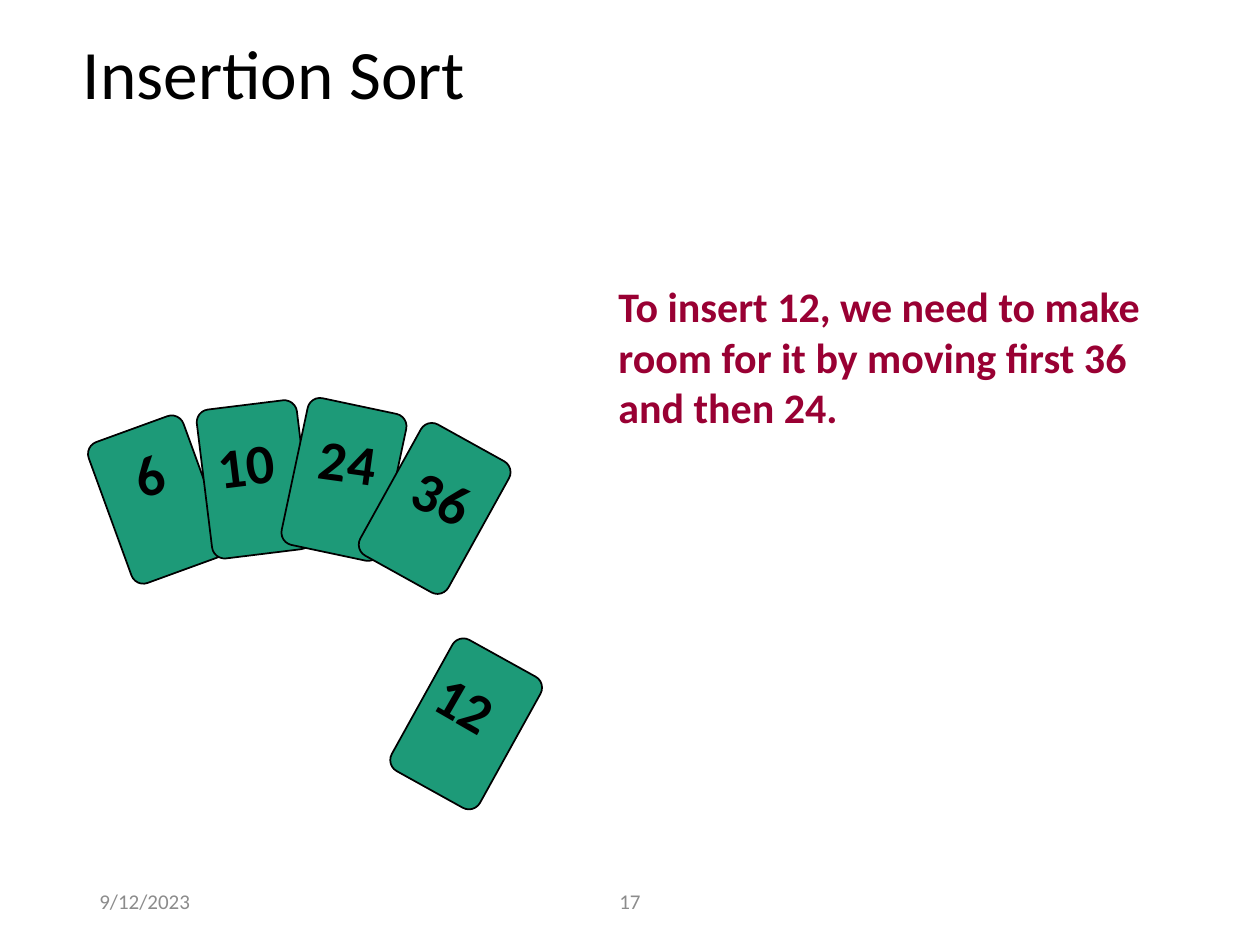
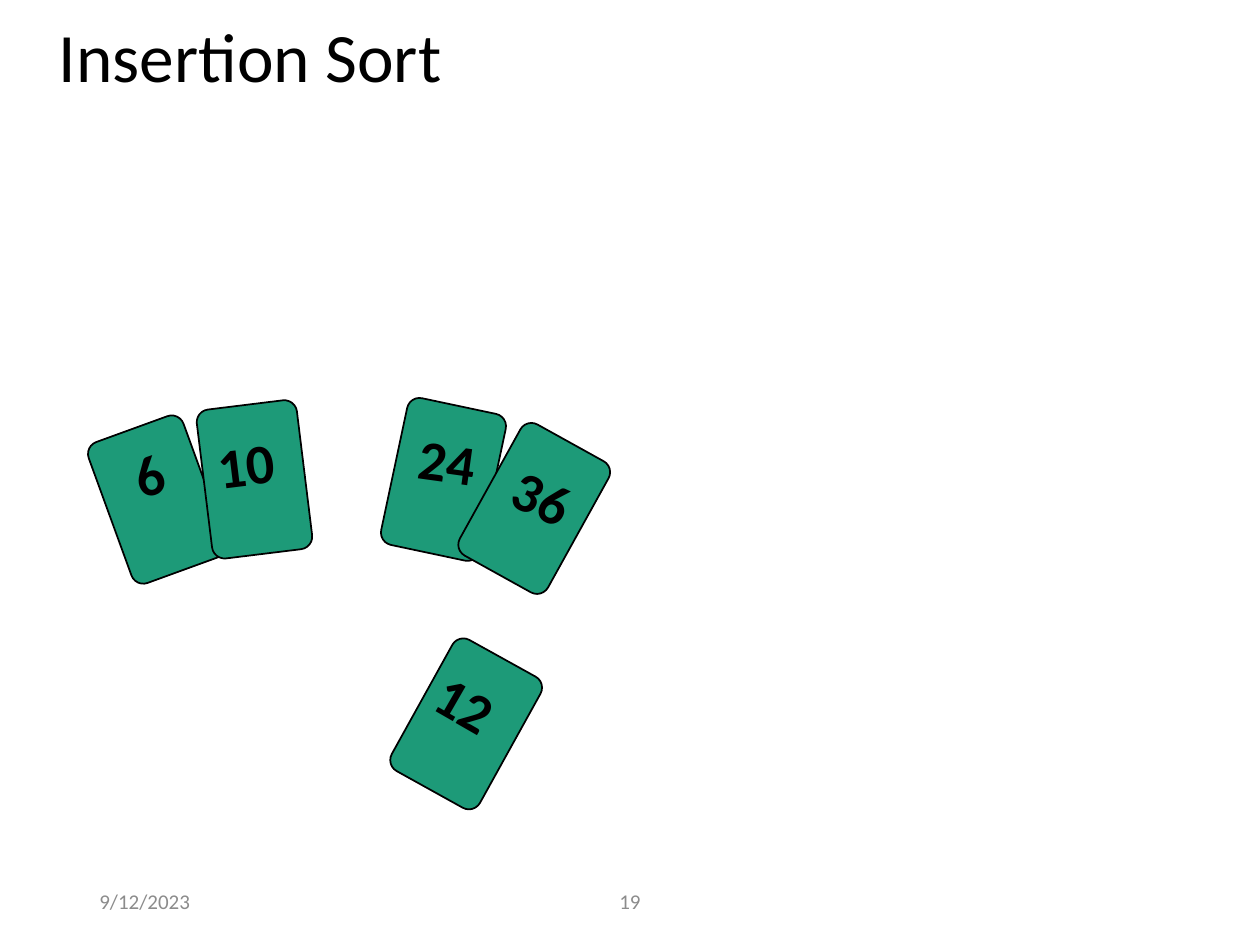
from collections import namedtuple

from pptx import Presentation
from pptx.dml.color import RGBColor
from pptx.enum.shapes import MSO_SHAPE as Shape
from pptx.enum.text import MSO_ANCHOR as Anchor, MSO_AUTO_SIZE as AutoSize, PP_ALIGN as Align
from pptx.util import Inches, Pt

BLACK = RGBColor(0x00, 0x00, 0x00)
GREY = RGBColor(0x8C, 0x8C, 0x8C)
GREEN = RGBColor(0x1D, 0x9A, 0x78)
CRIMSON = RGBColor(0x99, 0x00, 0x33)

CARD_WIDTH, CARD_HEIGHT = 0.8, 1.19
LABEL_HEIGHT = 0.63
DIGIT_WIDTH = 0.25
GAP_SHIFT = 0.79

# Places are left and top in inches, turns are in degrees.
Card = namedtuple("Card", "number place turn label_place label_turn")
SIX = Card("6", (0.85, 3.37), 340, (0.97, 3.44), 341)
TEN = Card("10", (1.62, 3.21), 353, (1.63, 3.36), 353)
TWENTY_FOUR = Card("24", (2.33, 3.21), 12, (2.44, 3.34), 8)
THIRTY_SIX = Card("36", (3.05, 3.44), 29, (3.19, 3.63), 25)
TWELVE = Card("12", (3.3, 5.15), 29, (3.37, 5.28), 30)


class SortDeck:
    font = "Calibri"

    def __init__(self):
        self.deck = Presentation()
        self.deck.slide_width = Inches(10)
        self.deck.slide_height = Inches(7.5)
        self.slide = None

    def text(self, words, left, top, width, height, *, size, color=BLACK, bold=False,
             align=Align.LEFT, anchor=Anchor.TOP, spacing=None, wrap=True, grow=False, turn=0):
        box = self.slide.shapes.add_textbox(*map(Inches, (left, top, width, height)))
        box.rotation = turn
        frame = box.text_frame
        frame.word_wrap = wrap
        frame.auto_size = AutoSize.SHAPE_TO_FIT_TEXT if grow else AutoSize.NONE
        frame.vertical_anchor = anchor
        para = frame.paragraphs[0]
        para.alignment = align
        if spacing:
            para.line_spacing = spacing
        span = para.add_run()
        span.text = words
        span.font.name = self.font
        span.font.size = Pt(size)
        span.font.bold = bold
        span.font.color.rgb = color

    def start_slide(self, number, title_area):
        """Add a slide with its title, date and page number."""
        self.slide = self.deck.slides.add_slide(self.deck.slide_layouts[6])
        self.text("Insertion Sort", *title_area, size=39.6, anchor=Anchor.BOTTOM, spacing=0.9)
        footer = dict(size=12, color=GREY, anchor=Anchor.MIDDLE)
        self.text("9/12/2023", 0.69, 6.95, 2.25, 0.4, **footer)
        self.text(str(number), 3.31, 6.95, 3.38, 0.4, align=Align.CENTER, **footer)

    def card(self, card, shift=0):
        """Draw a playing card and its number, moved right by shift inches."""
        left, top = card.place
        shape = self.slide.shapes.add_shape(
            Shape.ROUNDED_RECTANGLE, *map(Inches, (left + shift, top, CARD_WIDTH, CARD_HEIGHT)))
        shape.adjustments[0] = 0.125
        shape.rotation = card.turn
        shape.shadow.inherit = False
        shape.fill.solid()
        shape.fill.fore_color.rgb = GREEN
        shape.line.color.rgb = BLACK
        shape.line.width = Pt(1)
        left, top = card.label_place
        width = 0.2 + DIGIT_WIDTH * len(card.number)
        self.text(card.number, left + shift, top, width, LABEL_HEIGHT, size=32, bold=True,
                  wrap=False, grow=True, turn=card.label_turn)

    def hand(self, cards, shift=0):
        for card in cards:
            self.card(card, shift)


def main():
    sort = SortDeck()

    sort.start_slide(17, (0.56, 0.68, 6.92, 0.28))
    sort.text("To insert 12, we need to make room for it by moving first 36 and then 24.",
              4.81, 2.18, 4.66, 1.3, size=24, color=CRIMSON, bold=True, grow=True)
    sort.hand([SIX, TEN, TWENTY_FOUR, THIRTY_SIX, TWELVE])

    sort.start_slide(19, (0.37, 0.25, 7.1, 0.57))
    sort.hand([SIX, TEN, TWELVE])
    sort.hand([TWENTY_FOUR, THIRTY_SIX], GAP_SHIFT)

    sort.deck.save("out.pptx")


if __name__ == "__main__":
    main()
